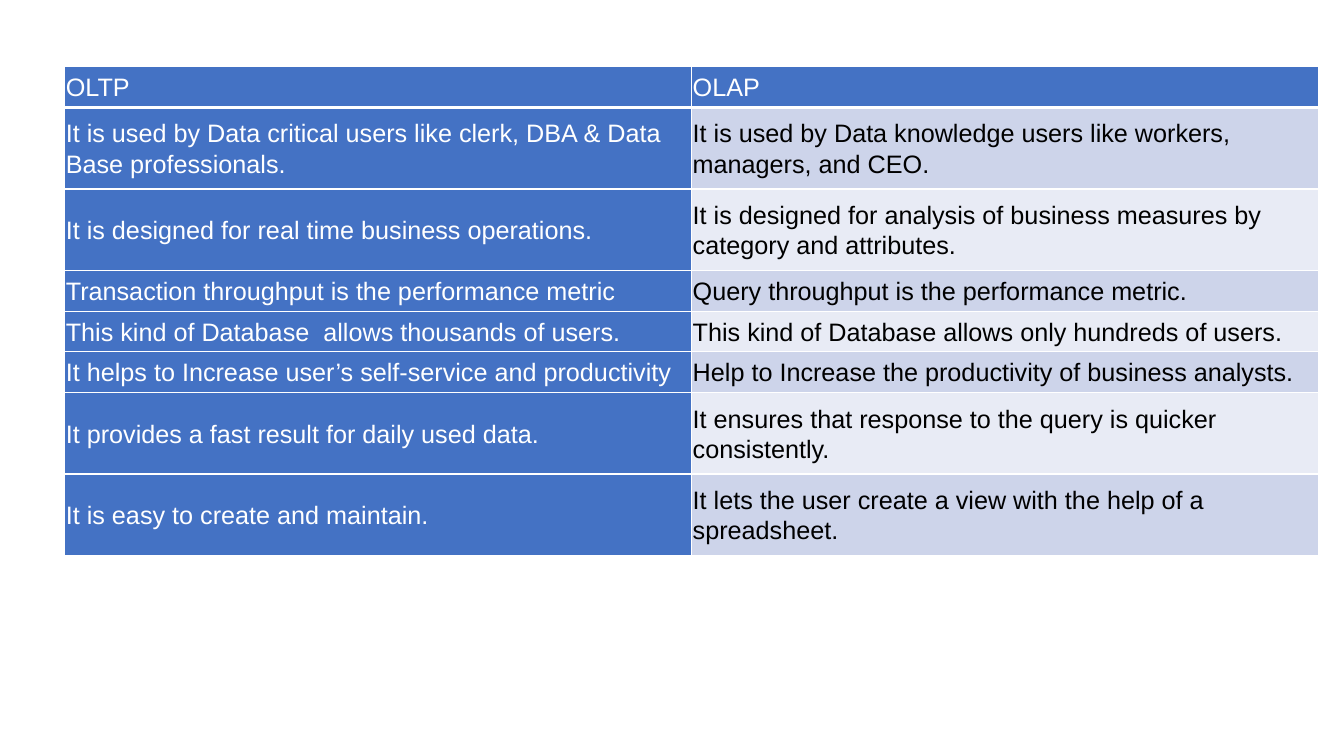
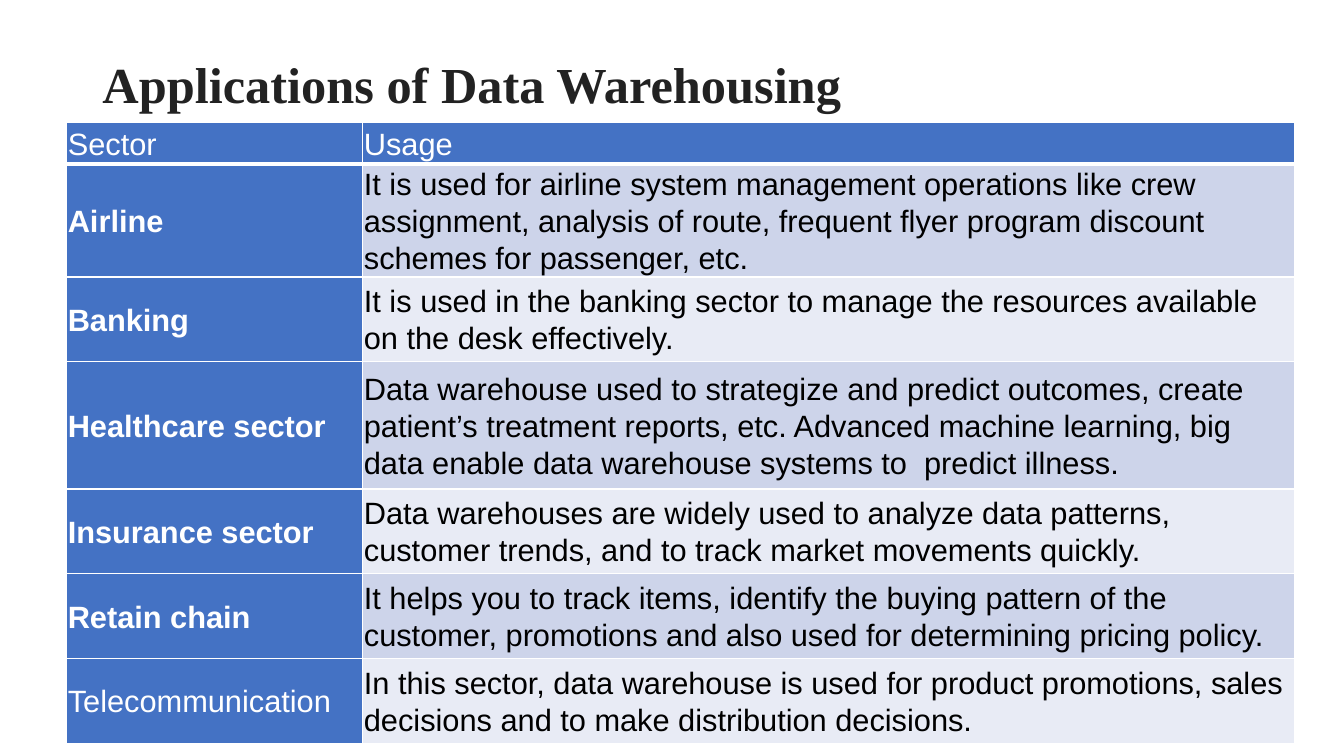
from dataclasses import dataclass
from typing import Any

from lxml import etree
from pptx import Presentation
from pptx import util as u
from pptx.dml import color
from pptx.enum import text
from pptx.oxml import ns

HUES = {
    "blue": "4472C4",
    "dark": "CDD4EA",
    "light": "E8EBF5",
    "white": "FFFFFF",
    "black": "000000",
    "ink": "222222",
}
WIDE, HIGH = 960, 540
INSET = u.Pt(0.75)
CELL = {
    "margin_left": INSET,
    "margin_top": INSET,
    "margin_right": INSET,
    "margin_bottom": INSET,
    "vertical_anchor": text.MSO_ANCHOR.MIDDLE,
}
FRAME = {
    "margin_left": u.Pt(7.2),
    "margin_top": u.Pt(3.6),
    "margin_right": u.Pt(7.2),
    "margin_bottom": u.Pt(3.6),
    "vertical_anchor": text.MSO_ANCHOR.MIDDLE,
    "word_wrap": True,
    "auto_size": text.MSO_AUTO_SIZE.NONE,
}
PLACE = {
    "left": u.Pt(66),
    "top": u.Pt(28.75),
    "width": u.Pt(828),
    "height": u.Pt(68.4),
}
HEAD = {"name": "Times New Roman", "size": u.Pt(36), "bold": True}
PLAIN = {"first_row": False, "horz_banding": False}


@dataclass
class Grid:
    left: float
    top: float
    cols: list[float]
    unit: float
    spans: list[int]
    size: float
    rows: list[tuple[str, str]]
    bold: range = range(0)


USERS = Grid(46.3, 47.7, [447.8, 447.8], 29.1, [1, 2, 2, 1, 1, 1, 2, 2], 18, [
    ("OLTP", "OLAP"),
    ("It is used by Data critical users like clerk, DBA & Data Base professionals.",
     "It is used by Data knowledge users like workers, managers, and CEO."),
    ("It is designed for real time business operations.",
     "It is designed for analysis of business measures by category and attributes."),
    ("Transaction throughput is the performance metric",
     "Query throughput is the performance metric."),
    ("This kind of Database  allows thousands of users.",
     "This kind of Database allows only hundreds of users."),
    ("It helps to Increase user’s self-service and productivity",
     "Help to Increase the productivity of business analysts."),
    ("It provides a fast result for daily used data.",
     "It ensures that response to the query is quicker consistently."),
    ("It is easy to create and maintain.",
     "It lets the user create a view with the help of a spreadsheet."),
])

TRADES = Grid(47.7, 87.1, [211.5, 665.2], 30.3, [1, 2, 2, 3, 2, 2, 2], 22, [
    ("Sector", "Usage"),
    ("Airline",
     "It is used for airline system management operations like crew assignment, "
     "analysis of route, frequent flyer program discount schemes for passenger, etc."),
    ("Banking",
     "It is used in the banking sector to manage the resources available "
     "on the desk effectively."),
    ("Healthcare sector",
     "Data warehouse used to strategize and predict outcomes, create patient’s "
     "treatment reports, etc. Advanced machine learning, big data enable data "
     "warehouse systems to  predict illness."),
    ("Insurance sector",
     "Data warehouses are widely used to analyze data patterns, customer trends, "
     "and to track market movements quickly."),
    ("Retain chain",
     "It helps you to track items, identify the buying pattern of the customer, "
     "promotions and also used for determining pricing policy."),
    ("Telecommunication",
     "In this sector, data warehouse is used for product promotions, sales "
     "decisions and to make distribution decisions."),
], range(1, 6))


def apply(item: Any, form: dict[str, Any]) -> None:
    for key, value in form.items():
        setattr(item, key, value)


def tint(fill: Any, hue: str) -> None:
    fill.solid()
    fill.fore_color.rgb = color.RGBColor.from_string(HUES[hue])


def write(para: Any, words: str, form: dict[str, Any], hue: str, space: float) -> None:
    para.line_spacing = space
    run = para.add_run()
    run.text = words
    apply(run.font, form)
    tint(run.font.fill, hue)


def edge(cell: Any, row: int) -> None:
    props = cell._tc.get_or_add_tcPr()
    thick = {0: "lnB", 1: "lnT"}.get(row)
    for spot, tag in enumerate(("lnL", "lnR", "lnT", "lnB")):
        line = etree.Element(ns.qn(f"a:{tag}"), w=str(u.Pt(3 if tag == thick else 1)))
        fill = etree.SubElement(line, ns.qn("a:solidFill"))
        etree.SubElement(fill, ns.qn("a:srgbClr"), val=HUES["white"])
        props.insert(spot, line)


def draw(slide: Any, grid: Grid) -> None:
    highs = [grid.unit * span for span in grid.spans]
    box = (grid.left, grid.top, sum(grid.cols), sum(highs))
    table = slide.shapes.add_table(
        len(highs), len(grid.cols), *(u.Pt(side) for side in box)).table
    apply(table, PLAIN)
    for col, width in zip(table.columns, grid.cols):
        col.width = u.Pt(width)
    for row, (high, line) in enumerate(zip(highs, grid.rows)):
        table.rows[row].height = u.Pt(high)
        for col, words in enumerate(line):
            cell = table.cell(row, col)
            apply(cell, CELL)
            key = row == 0 or col == 0
            tint(cell.fill, "blue" if key else "dark" if row % 2 else "light")
            edge(cell, row)
            form = {"name": "Arial", "size": u.Pt(grid.size),
                    "bold": col == 0 and row in grid.bold}
            write(cell.text_frame.paragraphs[0], words, form,
                  "white" if key else "black", 1.07)


def head(slide: Any, words: str) -> None:
    title = slide.shapes.title
    apply(title, PLACE)
    apply(title.text_frame, FRAME)
    para = title.text_frame.paragraphs[0]
    para.alignment = text.PP_ALIGN.LEFT
    write(para, words, HEAD, "ink", 0.83)


def main() -> None:
    deck = Presentation()
    apply(deck, {"slide_width": u.Pt(WIDE), "slide_height": u.Pt(HIGH)})
    draw(deck.slides.add_slide(deck.slide_layouts[6]), USERS)
    slide = deck.slides.add_slide(deck.slide_layouts[5])
    head(slide, "Applications of Data Warehousing")
    draw(slide, TRADES)
    deck.save("out.pptx")


if __name__ == "__main__":
    main()
